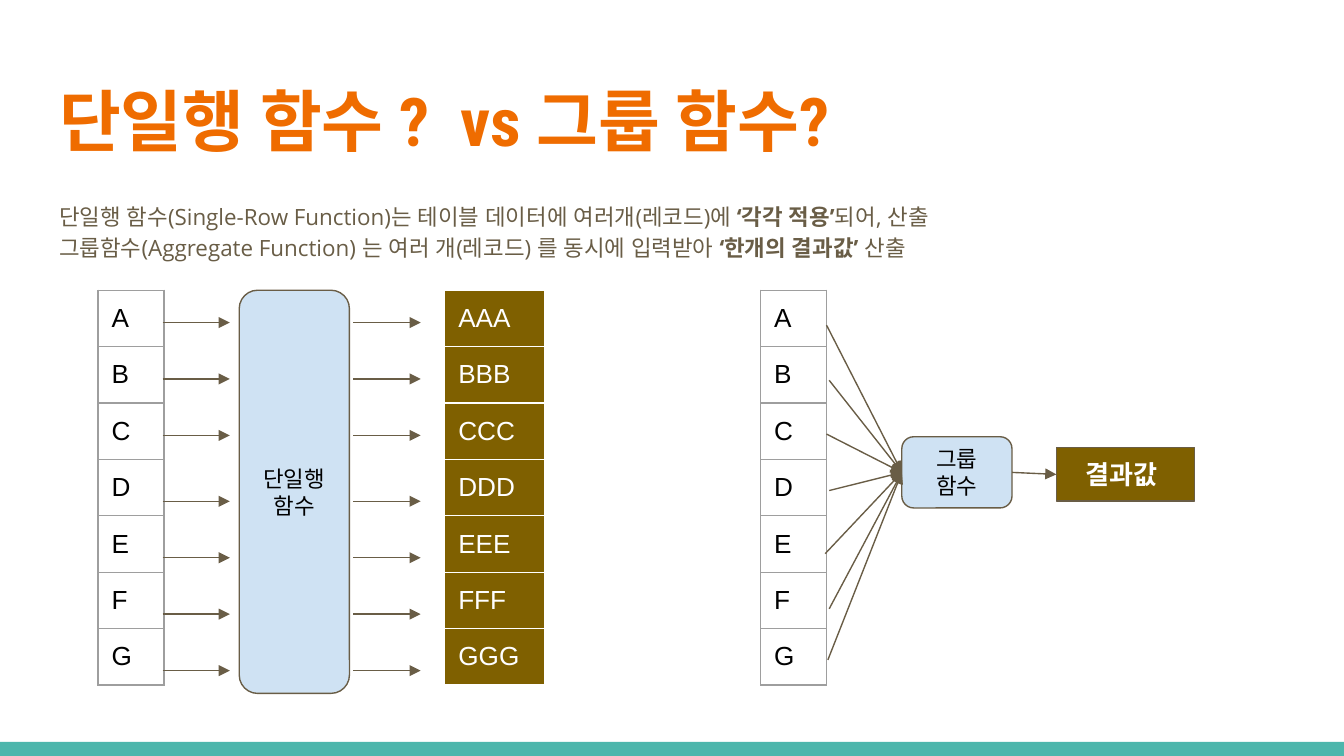
from copy import deepcopy

from lxml import etree
from pptx import Presentation
from pptx.dml.color import RGBColor
from pptx.enum.shapes import MSO_CONNECTOR, MSO_SHAPE
from pptx.enum.text import MSO_ANCHOR, MSO_AUTO_SIZE, PP_ALIGN
from pptx.oxml.ns import qn
from pptx.util import Inches, Pt

STRAIGHT = MSO_CONNECTOR.STRAIGHT
RECT, ROUNDED = MSO_SHAPE.RECTANGLE, MSO_SHAPE.ROUNDED_RECTANGLE
TOP, MIDDLE = MSO_ANCHOR.TOP, MSO_ANCHOR.MIDDLE
LEFT, CENTER = PP_ALIGN.LEFT, PP_ALIGN.CENTER
NO_FIT = MSO_AUTO_SIZE.NONE
SIDE_LEFT, SIDE_RIGHT = 1, 3

BROWN, OLIVE, PALE_BLUE = "695D46", "7F6000", "CFE2F3"
ORANGE, TEAL, GRAY = "EF6C00", "4DB6AC", "9E9E9E"
BLACK, WHITE = "000000", "FFFFFF"
ROW_HEIGHT = 0.42
LETTERS = "ABCDEFG"


def color(hex_value):
    return RGBColor.from_string(hex_value)


def write(paragraph, text, size=12, font="Arial", ink=BLACK, bold=False, align=LEFT):
    paragraph.alignment = align
    for number, line in enumerate(text.split("\n")):
        if number:
            paragraph.add_line_break()
        run = paragraph.add_run()
        run.text = line
        run.font.size = Pt(size)
        run.font.name = font
        run.font.bold = bold
        run.font.color.rgb = color(ink)
        run_format = run._r.find(qn("a:rPr"))
        for script in ("ea", "cs"):
            etree.SubElement(run_format, qn(f"a:{script}"), typeface=font)
        if number:
            run._r.getprevious().append(deepcopy(run_format))


def set_frame(frame, anchor):
    frame.word_wrap = True
    frame.auto_size = NO_FIT
    frame.vertical_anchor = anchor
    frame.margin_left = frame.margin_right = Inches(0.1)
    frame.margin_top = frame.margin_bottom = Inches(0.1)


def place(placeholder, left, top, width, height):
    placeholder.left, placeholder.top = Inches(left), Inches(top)
    placeholder.width, placeholder.height = Inches(width), Inches(height)
    set_frame(placeholder.text_frame, TOP)
    return placeholder.text_frame.paragraphs[0]


def add_box(slide, preset, left, top, width, height, fill, outline=BROWN):
    box = slide.shapes.add_shape(
        preset, Inches(left), Inches(top), Inches(width), Inches(height))
    box.shadow.inherit = False
    box.fill.solid()
    box.fill.fore_color.rgb = color(fill)
    if outline:
        box.line.color.rgb = color(outline)
        box.line.width = Pt(0.75)
    else:
        box.line.fill.background()
    set_frame(box.text_frame, MIDDLE)
    return box


def add_arrow(slide, x1, y1, x2, y2):
    arrow = slide.shapes.add_connector(
        STRAIGHT, Inches(x1), Inches(y1), Inches(x2), Inches(y2))
    arrow.line.color.rgb = color(BROWN)
    arrow.line.width = Pt(0.75)
    etree.SubElement(arrow.line._get_or_add_ln(), qn("a:tailEnd"), type="triangle")
    etree.SubElement(arrow._element.spPr, qn("a:effectLst"))
    return arrow


def add_borders(cell, hex_value):
    properties = cell._tc.get_or_add_tcPr()
    for position, side in enumerate(("lnL", "lnR", "lnT", "lnB")):
        border = etree.Element(qn(f"a:{side}"), w=str(Pt(0.75)))
        solid = etree.SubElement(border, qn("a:solidFill"))
        etree.SubElement(solid, qn("a:srgbClr"), val=hex_value)
        properties.insert(position, border)


def add_column(slide, left, top, width, values, ink, border, fill=None):
    table = slide.shapes.add_table(
        len(values), 1, Inches(left), Inches(top), Inches(width),
        Inches(ROW_HEIGHT * len(values))).table
    table.first_row = table.horz_banding = False
    for row, value in enumerate(values):
        cell = table.cell(row, 0)
        cell.margin_left = cell.margin_right = Inches(0.1)
        cell.margin_top = cell.margin_bottom = Inches(0.1)
        if fill:
            cell.fill.solid()
            cell.fill.fore_color.rgb = color(fill)
        else:
            cell.fill.background()
        add_borders(cell, border)
        write(cell.text_frame.paragraphs[0], value, size=14, ink=ink)


def add_heading(slide, left, top, width):
    title = place(slide.shapes.title, left, top, width, 0.77)
    write(title, "단일행 함수 ?  vs 그룹 함수?", size=36,
          font="Roboto Condensed", ink=ORANGE, bold=True)

    summary = place(slide.placeholders[1], left, top + 0.89, width, 0.59)
    summary.line_spacing = 1.15
    summary.space_before = Pt(0)
    summary.space_after = Pt(16)
    properties = summary._p.get_or_add_pPr()
    properties.set("marL", "0")
    properties.set("indent", "0")
    etree.SubElement(properties, qn("a:buNone"))
    parts = (
        ("단일행 함수(Single-Row Function)는 테이블 데이터에 여러개(레코드)에 ", False),
        ("‘각각 적용’", True),
        ("되어, 산출\n그룹함수(Aggregate Function) 는 여러 개(레코드) 를 동시에 입력받아 ", False),
        ("‘한개의 결과값’", True),
        (" 산출", False),
    )
    for text, bold in parts:
        write(summary, text, font="Open Sans", ink=BROWN, bold=bold)


def add_single_row_diagram(slide, left, top):
    add_column(slide, left, top, 0.49, LETTERS, BLACK, GRAY)
    function = add_box(slide, ROUNDED, left + 1.05, top, 0.82, 3, PALE_BLUE)
    write(function.text_frame.paragraphs[0], "단일행\n함수", align=CENTER)
    for row in range(len(LETTERS)):
        y = top + 0.24 + ROW_HEIGHT * row + (0.07 if row > 2 else 0)
        for start in (left + 0.48, left + 1.9):
            add_arrow(slide, start, y, start + 0.5, y)
    add_column(slide, left + 2.58, top, 0.74,
               [letter * 3 for letter in LETTERS], WHITE, WHITE, OLIVE)


def add_group_diagram(slide, left, top):
    add_column(slide, left, top, 0.49, LETTERS, BLACK, GRAY, WHITE)
    function = add_box(slide, ROUNDED, left + 1.05, top + 1.09, 0.82, 0.53, PALE_BLUE)
    write(function.text_frame.paragraphs[0], "그룹\n함수", align=CENTER)
    result = add_box(slide, RECT, left + 2.2, top + 1.17, 1.03, 0.4, OLIVE)
    write(result.text_frame.paragraphs[0], "결과값 ", size=14, ink=WHITE,
          bold=True, align=CENTER)

    starts = ((0.49, 0.26), (0.51, 0.67), (0.49, 1.07), (0.51, 1.49),
              (0.48, 1.96), (0.51, 2.37), (0.5, 2.75))
    for x, y in starts:
        arrow = add_arrow(slide, left + x, top + y, left + 1.05, top + 1.35)
        arrow.end_connect(function, SIDE_LEFT)
    output = add_arrow(slide, left + 1.87, top + 1.35, left + 2.2, top + 1.37)
    output.begin_connect(function, SIDE_RIGHT)
    output.end_connect(result, SIDE_LEFT)


def main():
    deck = Presentation()
    deck.slide_width = Inches(10)
    deck.slide_height = deck.slide_width * 9 // 16
    slide = deck.slides.add_slide(deck.slide_layouts[1])
    add_box(slide, RECT, 0, 5.52, 10, 0.11, TEAL, outline=None)
    add_heading(slide, 0.34, 0.49, 9.32)
    add_single_row_diagram(slide, 0.73, 2.16)
    add_group_diagram(slide, 5.66, 2.16)
    deck.save("out.pptx")


if __name__ == "__main__":
    main()
